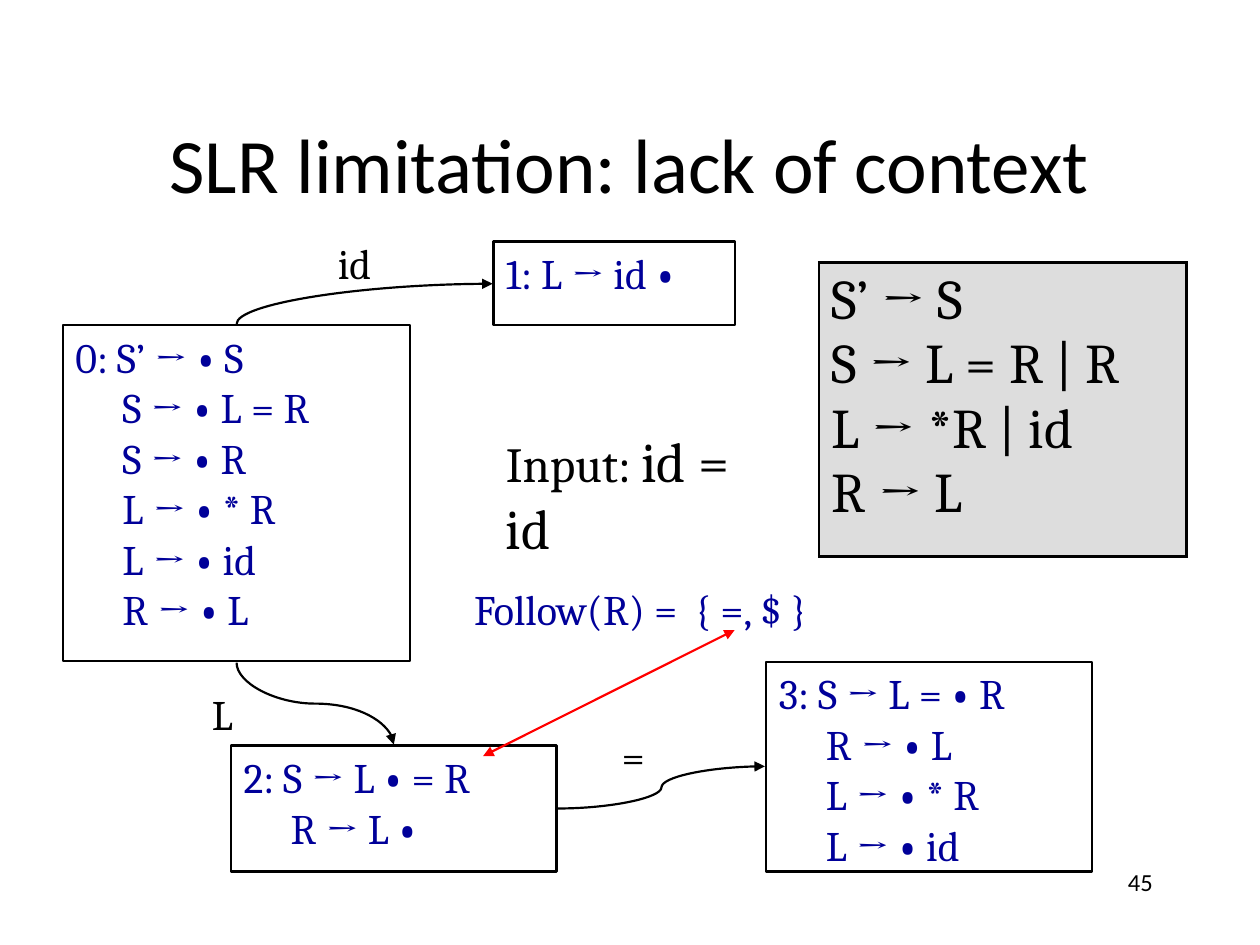
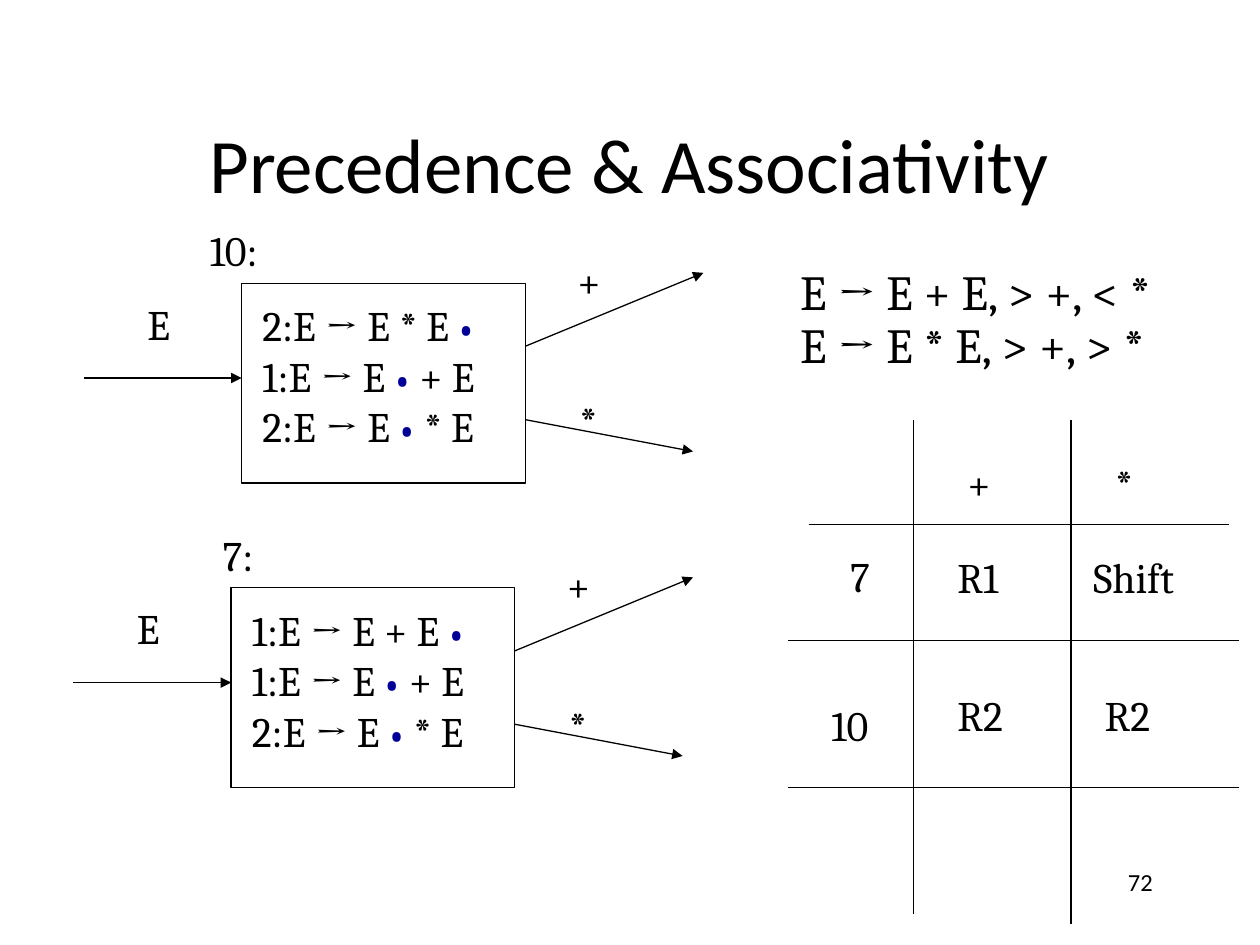
from dataclasses import dataclass

from lxml import etree
from pptx import Presentation
from pptx.dml.color import RGBColor
from pptx.enum.shapes import MSO_CONNECTOR, MSO_SHAPE
from pptx.enum.text import MSO_ANCHOR, PP_ALIGN
from pptx.oxml.ns import qn
from pptx.util import Cm, Pt

RECTANGLE = MSO_SHAPE.RECTANGLE
STRAIGHT, CURVE = MSO_CONNECTOR.STRAIGHT, MSO_CONNECTOR.CURVE
LEFT, CENTER, RIGHT = PP_ALIGN.LEFT, PP_ALIGN.CENTER, PP_ALIGN.RIGHT
TOP, MIDDLE = MSO_ANCHOR.TOP, MSO_ANCHOR.MIDDLE
DOT = "•"


@dataclass(frozen=True)
class Theme:
    black: RGBColor = RGBColor(0x00, 0x00, 0x00)
    white: RGBColor = RGBColor(0xFF, 0xFF, 0xFF)
    navy: RGBColor = RGBColor(0x00, 0x00, 0x99)
    red: RGBColor = RGBColor(0xFF, 0x00, 0x00)
    grey: RGBColor = RGBColor(0xDD, 0xDD, 0xDD)
    heading_font: str = "Calibri"
    body_font: str = "Cambria"
    title: int = 44
    grammar: int = 32
    rule: int = 28
    body: int = 24
    small_dot: int = 20
    page: int = 14
    thick: float = 1.25
    thin: float = 0.75
    hanging: float = 0.95


THEME = Theme()


def set_font(font, size, color, name=THEME.body_font):
    font.name = name
    font.size = Pt(size)
    font.color.rgb = color


def write_line(paragraph, line, dot_font):
    """Add one line of text, with each item dot as a bold run."""
    for index, piece in enumerate(line.split(DOT)):
        if index:
            dot = paragraph.add_run()
            dot.text = DOT
            dot.font.bold = True
            if dot_font:
                set_font(dot.font, *dot_font)
        if piece:
            paragraph.add_run().text = piece


def write(frame, paragraphs, size=THEME.body, color=THEME.black, font=THEME.body_font,
          align=LEFT, anchor=TOP, wrap=True, margin=0, indent=0, spacing=None, dot_font=None):
    """Fill a text frame; a newline inside a paragraph is a line break."""
    frame.word_wrap = wrap
    frame.vertical_anchor = anchor
    for index, text in enumerate(paragraphs):
        paragraph = frame.add_paragraph() if index else frame.paragraphs[0]
        paragraph.alignment = align
        paragraph.line_spacing = spacing
        set_font(paragraph.font, size, color, font)
        if margin:
            properties = paragraph._p.get_or_add_pPr()
            properties.set("marL", str(Cm(margin)))
            properties.set("indent", str(Cm(indent)))
        for number, line in enumerate(text.split("\n")):
            if number:
                paragraph.add_line_break()
            write_line(paragraph, line, dot_font)


def add_text(slide, left, top, width, height, *paragraphs, **style):
    box = slide.shapes.add_textbox(Cm(left), Cm(top), Cm(width), Cm(height))
    write(box.text_frame, paragraphs, **style)


def add_symbol(slide, text, left, top, width):
    add_text(slide, left, top, width, 1.27, text, wrap=False)


def add_box(slide, left, top, width, height, weight=None, fill=None):
    box = slide.shapes.add_shape(RECTANGLE, Cm(left), Cm(top), Cm(width), Cm(height))
    box.shadow.inherit = False
    if fill:
        box.fill.solid()
        box.fill.fore_color.rgb = fill
    else:
        box.fill.background()
    if weight:
        box.line.color.rgb = THEME.black
        box.line.width = Pt(weight)
    else:
        box.line.fill.background()
    return box


def add_item_box(slide, left, top, width, height, items, weight=THEME.thick, fill=None):
    box = add_box(slide, left, top, width, height, weight, fill)
    write(box.text_frame, [items], color=THEME.navy,
          margin=THEME.hanging, indent=-THEME.hanging)


def add_line(slide, start, end, weight=THEME.thin, color=THEME.black, heads=(), kind=STRAIGHT):
    line = slide.shapes.add_connector(kind, *map(Cm, start + end))
    line.line.color.rgb = color
    line.line.width = Pt(weight)
    outline = line.line._get_or_add_ln()
    for head in heads:
        etree.SubElement(outline, qn(f"a:{head}")).set("type", "triangle")
    etree.SubElement(line._element.spPr, qn("a:effectLst"))
    return line


def add_arrow(slide, start, end, **style):
    return add_line(slide, start, end, heads=("tailEnd",), **style)


def add_vertical_curve(slide, start, end, preset="curvedConnector3"):
    """Curved arrow that leaves its start vertically: a level curve turned by 270°."""
    (x1, y1), (x2, y2) = start, end
    center_x, center_y = (x1 + x2) / 2, (y1 + y2) / 2
    half_x, half_y = (x2 - x1) / 2, (y2 - y1) / 2
    arrow = add_arrow(slide, (center_x + half_y, center_y - half_x),
                      (center_x - half_y, center_y + half_x),
                      weight=THEME.thick, kind=CURVE)
    properties = arrow._element.spPr
    properties.find(qn("a:xfrm")).set("rot", str(270 * 60000))
    properties.find(qn("a:prstGeom")).set("prst", preset)


def add_transition_label(slide, text, left, top):
    add_text(slide, left, top, 1.48, 1.48, text,
             margin=THEME.hanging, indent=-THEME.hanging)


def add_grammar(slide, left, top, width, height, rules):
    table = slide.shapes.add_table(1, 1, Cm(left), Cm(top), Cm(width), Cm(height)).table
    table.first_row = table.horz_banding = False
    cell = table.cell(0, 0)
    properties = cell._tc.get_or_add_tcPr()
    for side in ("lnL", "lnR", "lnT", "lnB"):
        border = etree.SubElement(properties, qn(f"a:{side}"), w=str(Pt(1.5)))
        fill = etree.SubElement(border, qn("a:solidFill"))
        etree.SubElement(fill, qn("a:srgbClr")).set("val", str(THEME.black))
    cell.fill.solid()
    cell.fill.fore_color.rgb = THEME.grey
    write(cell.text_frame, [rules], size=THEME.grammar)


def add_titled_slide(deck, title, page):
    slide = deck.slides.add_slide(deck.slide_layouts[6])
    add_text(slide, 1.9, 1.7, 21.59, 3.18, title, size=THEME.title,
             font=THEME.heading_font, align=CENTER, anchor=MIDDLE)
    add_text(slide, 18.2, 17.36, 5.29, 1.27, page, size=THEME.page,
             font=THEME.heading_font, align=RIGHT)
    return slide


def add_conflict_state(slide, x, y, name, name_left, name_width, items):
    """State box at x, y with its incoming E and outgoing + and * transitions."""
    add_box(slide, x, y, 5.72, 4.03, THEME.thin)
    add_text(slide, x + 0.17, y + 0.21, 5.9, 3.3, *items,
             dot_font=(THEME.small_dot, THEME.navy))
    for start, end in (((-3.18, 1.91), (0, 1.91)),
                       ((5.72, 1.27), (9.31, -0.21)),
                       ((5.72, 2.75), (9.1, 3.39))):
        add_arrow(slide, (x + start[0], y + start[1]), (x + end[0], y + end[1]))
    for symbol, dx, dy in (("E", -2.15, 0.18), ("+", 6.52, -0.69), ("*", 6.56, 2.12)):
        add_symbol(slide, symbol, x + dx, y + dy, 1)
    add_symbol(slide, name, name_left, y - 1.3, name_width)


def build_slr_limitation(deck):
    slide = add_titled_slide(deck, "SLR limitation: lack of context", "45")
    add_grammar(slide, 16.51, 5.29, 7.41, 5.93,
                "S’ → S\nS → L = R | R\nL → *R | id\nR → L")

    add_item_box(slide, 1.27, 6.56, 6.99, 6.77,
                 "0: S’ → • S\nS → • L = R\nS → • R\nL → • * R\nL → • id\nR → • L")
    add_item_box(slide, 9.95, 4.87, 4.87, 1.69, "1: L → id •")
    add_item_box(slide, 4.66, 15.03, 6.56, 2.54, "2: S → L • = R\nR → L •")
    add_item_box(slide, 15.45, 13.34, 6.56, 4.23,
                 "3: S → L = • R\nR → • L\nL → • * R\nL → • id")

    add_vertical_curve(slide, (4.77, 6.53), (9.93, 5.72), "curvedConnector2")
    add_vertical_curve(slide, (4.77, 13.36), (7.94, 15.01))
    add_arrow(slide, (11.25, 16.3), (15.42, 15.45), weight=THEME.thick, kind=CURVE)
    for symbol, left, top in (("id", 6.56, 4.66), ("L", 4.02, 13.76), ("=", 12.28, 14.61)):
        add_transition_label(slide, symbol, left, top)

    add_text(slide, 9.31, 11.64, 6.35, 1.48, "Follow(R) =", color=THEME.navy,
             margin=THEME.hanging, indent=-THEME.hanging)
    add_item_box(slide, 13.76, 11.64, 4.45, 1.48, "{ =, $ }", weight=None, fill=THEME.white)
    add_line(slide, (14.81, 12.7), (9.74, 15.24), weight=THEME.thick, color=THEME.red,
             heads=("headEnd", "tailEnd"))

    add_text(slide, 8.68, 8.47, 7.41, 1.6, "Input: ", size=THEME.rule, margin=1.27)
    input_paragraph = slide.shapes[-1].text_frame.paragraphs[0]
    sentence = input_paragraph.add_run()
    sentence.text = "id = id"
    sentence.font.size = Pt(THEME.grammar)


def build_precedence(deck):
    slide = add_titled_slide(deck, "Precedence & Associativity", "72")
    shift_items = ("1:E → E • + E", "2:E → E • * E")
    add_conflict_state(slide, 4.87, 5.71, "10:", 3.98, 1.6, ("2:E → E * E •", *shift_items))
    add_conflict_state(slide, 4.66, 11.85, "7:", 4.24, 1.17, ("1:E → E + E •", *shift_items))
    add_text(slide, 15.88, 5.29, 8.48, 2.39, "E → E + E, > +, < *", "E → E * E, > +, > *",
             size=THEME.rule, wrap=False, spacing=0.9)

    for y, left, right in ((10.58, 16.3, 24.77), (12.91, 15.88, 24.98), (15.88, 15.88, 24.98)):
        add_line(slide, (left, y), (right, y))
    for x, bottom in ((18.42, 18.42), (21.59, 18.63)):
        add_line(slide, (x, 8.47), (x, bottom))
    for text, left, top, width in (
            ("+", 19.25, 9.09, 1), ("*", 22.23, 9.09, 0.94),
            ("7", 16.89, 10.97, 0.94), ("R1", 19.05, 11, 1.5), ("Shift", 21.79, 11, 2.16),
            ("10", 16.51, 13.97, 1.35), ("R2", 19.05, 13.77, 1.5), ("R2", 22.02, 13.77, 1.5)):
        add_symbol(slide, text, left, top, width)


def main():
    deck = Presentation()
    deck.slide_width, deck.slide_height = Cm(25.4), Cm(19.05)
    build_slr_limitation(deck)
    build_precedence(deck)
    deck.save("out.pptx")


if __name__ == "__main__":
    main()
